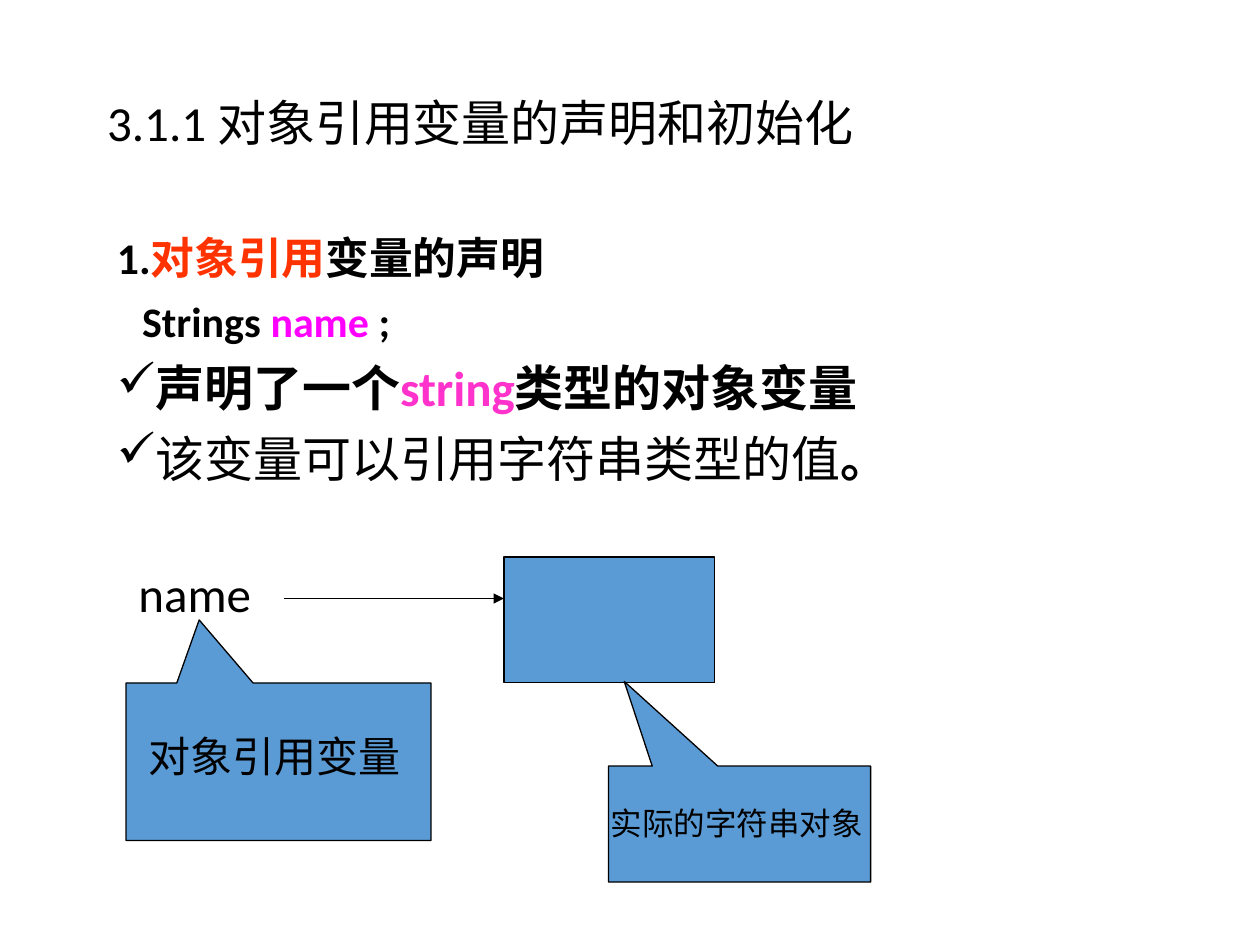
from pptx import Presentation
from pptx.dml.color import RGBColor
from pptx.enum.shapes import MSO_CONNECTOR, MSO_SHAPE
from pptx.enum.text import MSO_ANCHOR, MSO_AUTO_SIZE, PP_ALIGN
from pptx.oxml.ns import qn
from pptx.util import Inches, Pt
from lxml.etree import SubElement

FONT = "Calibri"
BLACK = "000000"
BLUE = "5B9BD5"


def rgb(value):
    return RGBColor.from_string(value)


def place(sp, x, y, w, h):
    sp.left, sp.top, sp.width, sp.height = map(Inches, (x, y, w, h))


def add_run(p, text, size, color=BLACK, bold=False):
    r = p.add_run()
    r.text = text
    r.font.name = FONT
    r.font.size = Pt(size)
    r.font.bold = bold
    r.font.color.rgb = rgb(color)


def add_title(s, text):
    sp = s.shapes.title
    place(sp, 0.75, 0.67, 8, 0.66)
    tf = sp.text_frame
    tf.vertical_anchor = MSO_ANCHOR.MIDDLE
    tf.auto_size = MSO_AUTO_SIZE.NONE
    p = tf.paragraphs[0]
    p.alignment = PP_ALIGN.LEFT
    p.line_spacing = 0.9
    add_run(p, text, 28)


def add_textbox(s, x, y, w, h):
    tf = s.shapes.add_textbox(*map(Inches, (x, y, w, h))).text_frame
    tf.word_wrap = True
    return tf


def add_label(s, x, y, w, h, text, size):
    tf = add_textbox(s, x, y, w, h)
    add_run(tf.paragraphs[0], text, size)


def set_indent(p, left, first, bullet=None):
    pPr = p._p.get_or_add_pPr()
    pPr.set("marL", str(Inches(left)))
    pPr.set("indent", str(Inches(first)))
    if bullet:
        SubElement(pPr, qn("a:buChar")).set("char", bullet)
    else:
        SubElement(pPr, qn("a:buNone"))


def add_body(s, paragraphs):
    tf = add_textbox(s, 0.83, 1.83, 8.17, 4.78)
    for i, (indent, runs) in enumerate(paragraphs):
        p = tf.add_paragraph() if i else tf.paragraphs[0]
        p.line_spacing = 0.9
        p.space_before = Pt(10)
        set_indent(p, *indent)
        for run in runs:
            add_run(p, *run)


def add_box(s, kind, x, y, w, h, adjustments=()):
    sp = s.shapes.add_shape(kind, *map(Inches, (x, y, w, h)))
    sp.shadow.inherit = False
    sp.fill.solid()
    sp.fill.fore_color.rgb = rgb(BLUE)
    sp.line.color.rgb = rgb(BLACK)
    sp.line.width = Pt(0.75)
    for i, value in enumerate(adjustments):
        sp.adjustments[i] = value


def add_arrow(s, x1, y1, x2, y2):
    line = s.shapes.add_connector(MSO_CONNECTOR.STRAIGHT, *map(Inches, (x1, y1, x2, y2)))
    line.line.color.rgb = rgb(BLACK)
    line.line.width = Pt(0.75)
    SubElement(line.line._get_or_add_ln(), qn("a:tailEnd")).set("type", "triangle")
    SubElement(line._element.spPr, qn("a:effectLst"))


def main():
    prs = Presentation()
    prs.slide_width, prs.slide_height = Inches(10), Inches(7.5)
    s = prs.slides.add_slide(prs.slide_layouts[5])
    add_title(s, "3.1.1 对象引用变量的声明和初始化")

    check = (0.25, -0.25, "✓")
    add_body(s, [
        ((0.25, -0.25), [("1.", 25, BLACK, True),
                         ("对象引用", 25, "FF3300", True),
                         ("变量的声明", 25, BLACK, True)]),
        ((0.2, 0), [("Strings ", 24, BLACK, True),
                    ("name ", 24, "FF00FF", True),
                    (";", 24, BLACK, True)]),
        (check, [("声明了一个", 28, BLACK, True),
                 ("string", 28, "FF33CC", True),
                 ("类型的对象变量", 28, BLACK, True)]),
        (check, [("该变量可以引用字符串类型的值", 28),
                 ("。", 28, BLACK, True)]),
    ])

    add_label(s, 1, 4.42, 1.92, 0.57, "name", 28)
    add_arrow(s, 2.25, 4.75, 4, 4.75)
    add_box(s, MSO_SHAPE.RECTANGLE, 4, 4.42, 1.67, 1)
    callout = MSO_SHAPE.RECTANGULAR_CALLOUT
    add_box(s, callout, 1, 5.42, 2.42, 1.25, (-0.26, -0.9))
    add_label(s, 1.08, 5.75, 2.42, 0.5, "对象引用变量", 24)
    add_box(s, callout, 4.83, 6.08, 2.08, 0.92, (-0.44, -1.23))
    add_label(s, 4.75, 6.33, 2.42, 0.4, "实际的字符串对象", 18)
    prs.save("out.pptx")


main()
